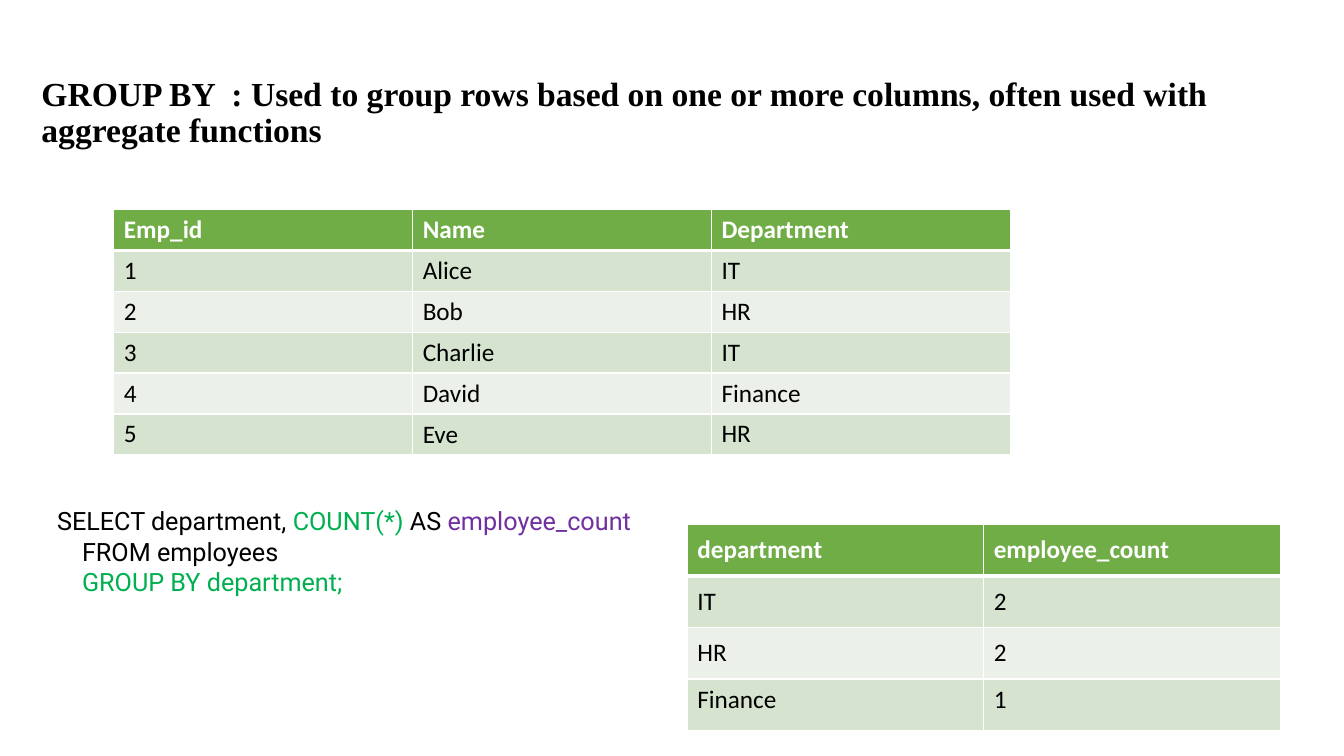
from lxml import etree
from pptx import Presentation
from pptx import util as u
from pptx.dml.color import RGBColor
from pptx.enum import text
from pptx.oxml.ns import qn

COLORS = {
    "black": "000000", "white": "FFFFFF", "header": "70AD47",
    "odd": "D5E3CF", "even": "EBF1E9", "green": "00B050", "purple": "7030A0",
}
TOP, MIDDLE = text.MSO_ANCHOR.TOP, text.MSO_ANCHOR.MIDDLE


def style_font(font, name, size, color, bold=False):
    font.name, font.size, font.bold = name, u.Pt(size), bold
    font.color.rgb = RGBColor.from_string(COLORS[color])


def add_borders(cell, bottom):
    props = cell._tc.get_or_add_tcPr()
    for side, width in (("lnL", 1), ("lnR", 1), ("lnT", 1), ("lnB", bottom)):
        line = etree.SubElement(props, qn(f"a:{side}"), w=str(u.Pt(width)))
        fill = etree.SubElement(line, qn("a:solidFill"))
        etree.SubElement(fill, qn("a:srgbClr"), val=COLORS["white"])


deck = Presentation()
deck.slide_width, deck.slide_height = u.Cm(33.87), u.Cm(19.05)
page = deck.slides.add_slide(deck.slide_layouts[5])

# Title
title = page.shapes.title
title.left, title.top = u.Cm(0.79), u.Cm(1.02)
title.width, title.height = u.Cm(32.39), u.Cm(3.68)
frame = title.text_frame
frame.text = ("GROUP BY  : Used to group rows based on one or more columns, "
              "often used with aggregate functions")
frame.word_wrap = True
frame.auto_size = text.MSO_AUTO_SIZE.NONE
frame.vertical_anchor = MIDDLE
para = frame.paragraphs[0]
para.alignment = text.PP_ALIGN.LEFT
para.line_spacing = 0.9
style_font(para.runs[0].font, "Times New Roman", 24, "black", True)

# Query result and employee tables: left, top, column width, row height,
# cells anchored at the top, rows
results = [("department", "employee_count"), ("IT", "2"), ("HR", "2"), ("Finance", "1")]
employees = [
    ("Emp_id", "Name", "Department"),
    ("1", "Alice", "IT"),
    ("2", "Bob", "HR"),
    ("3", "Charlie", "IT"),
    ("4", "David", "Finance"),
    ("5", "Eve", "HR"),
]
tables = [
    (17.32, 13.21, 7.47, 1.3, {(3, 0), (3, 1)}, results),
    (2.87, 5.28, 7.53, 1.03, {(0, 0), (0, 1), (0, 2), (5, 0), (5, 2)}, employees),
]
for left, top, col_width, row_height, top_cells, rows in tables:
    table = page.shapes.add_table(
        len(rows), len(rows[0]), u.Cm(left), u.Cm(top),
        u.Cm(col_width * len(rows[0])), u.Cm(row_height * len(rows))).table
    for r, row in enumerate(rows):
        shade = "header" if r == 0 else "odd" if r % 2 else "even"
        for c, value in enumerate(row):
            cell = table.cell(r, c)
            cell.text = value
            cell.vertical_anchor = TOP if (r, c) in top_cells else MIDDLE
            add_borders(cell, 3 if r == 0 else 1)
            cell.fill.solid()
            cell.fill.fore_color.rgb = RGBColor.from_string(COLORS[shade])
            style_font(cell.text_frame.paragraphs[0].runs[0].font, "Calibri", 18,
                       "white" if r == 0 else "black", r == 0)

# SQL query
query = [
    [("SELECT department, ", "black"), ("COUNT(*) ", "green"),
     ("AS ", "black"), ("employee_count", "purple")],
    [("    FROM employees", "black")],
    [("    GROUP BY department;", "green")],
]
box = page.shapes.add_textbox(u.Cm(1.19), u.Cm(12.62), u.Cm(16.94), u.Cm(2.57))
frame = box.text_frame
frame.word_wrap = True
frame.auto_size = text.MSO_AUTO_SIZE.SHAPE_TO_FIT_TEXT
for i, spans in enumerate(query):
    para = frame.add_paragraph() if i else frame.paragraphs[0]
    for words, color in spans:
        span = para.add_run()
        span.text = words
        style_font(span.font, "Roboto", 18, color)

deck.save("out.pptx")
